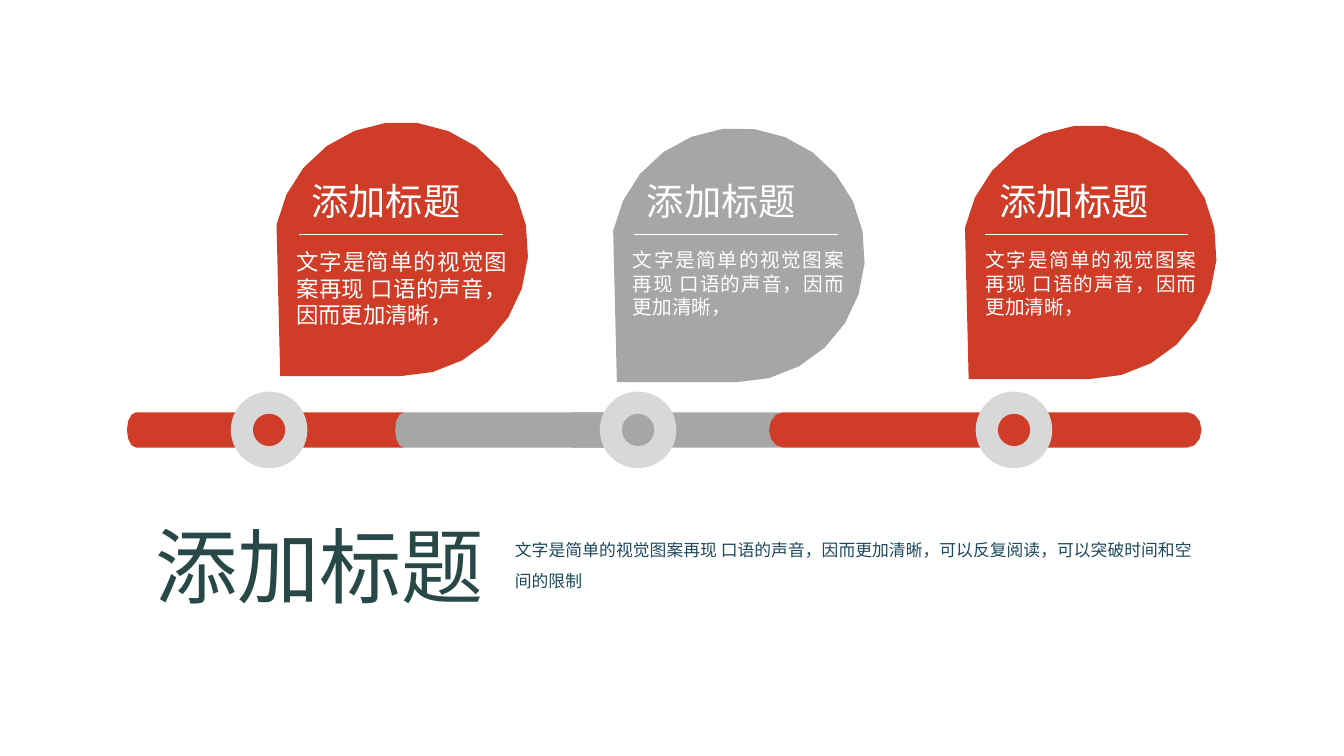
import math
from dataclasses import dataclass

import pptx
import pptx.dml.color
import pptx.enum.shapes
import pptx.enum.text
import pptx.oxml.ns
import pptx.shapes.autoshape
import pptx.slide
import pptx.text.text
import pptx.util
from lxml import etree

Inches = pptx.util.Inches
Align = pptx.enum.text.PP_ALIGN
Point = tuple[float, float]

FONT = "Noto Sans CJK SC"
RED, GRAY, PALE, WHITE = "CF3C27", "A6A6A6", "D8D8D8", "FFFFFF"
HEAD = "添加标题"
BODY = "文字是简单的视觉图案再现 口语的声音，因而更加清晰，"
NOTE = "文字是简单的视觉图案再现 口语的声音，因而更加清晰，可以反复阅读，可以突破时间和空间的限制"
MID = 4.265  # centre line of the bar


@dataclass
class Stop:
    """A drop with its text and its knob on the bar."""
    drop: Point  # centre of the drop's circle
    left: float  # left edge of the body text
    head: float
    rule: float
    knob: float
    size: float
    fill: str


@dataclass
class Pill:
    left: float
    width: float
    curve: float
    fill: str


STOPS = [
    Stop((3.98, 2.47), 2.84, 2.99, 2.97, 2.67, 16, RED),
    Stop((7.32, 2.53), 6.18, 6.32, 6.29, 6.33, 14, GRAY),
    Stop((10.81, 2.5), 9.68, 9.82, 9.77, 10.06, 14, RED),
]
PILLS = [
    Pill(1.26, 1.4, 0.09, RED),
    Pill(2.69, 1.4, 0.09, RED),
    Pill(3.92, 2.26, 0.09, GRAY),
    Pill(5.59, 2.26, 0.09, GRAY),
    Pill(7.63, 4.29, 0.14, RED),
]


def color(code: str) -> pptx.dml.color.RGBColor:
    return pptx.dml.color.RGBColor.from_string(code)


def paint(shape: pptx.shapes.autoshape.Shape, fill: str) -> None:
    shape.shadow.inherit = False
    shape.fill.solid()
    shape.fill.fore_color.rgb = color(fill)
    shape.line.fill.background()


def arc(mid: Point, wide: float, high: float, start: int, end: int,
        steps: int) -> list[Point]:
    """Points on an ellipse, angles in degrees, clockwise from the right."""
    turns = [math.radians(start + (end - start) * i / steps) for i in range(steps + 1)]
    return [(mid[0] + wide * math.cos(t), mid[1] + high * math.sin(t)) for t in turns]


def trace(slide: pptx.slide.Slide, points: list[Point], fill: str) -> None:
    spots = [(Inches(x), Inches(y)) for x, y in points]
    pen = slide.shapes.build_freeform(*spots[0], scale=1.0)
    pen.add_line_segments(spots[1:], close=True)
    paint(pen.convert_to_shape(), fill)


def disc(slide: pptx.slide.Slide, x: float, size: float, fill: str) -> None:
    kind = pptx.enum.shapes.MSO_SHAPE.OVAL
    half = size / 2
    paint(slide.shapes.add_shape(kind, Inches(x - half), Inches(MID - half),
                                 Inches(size), Inches(size)), fill)


def write(frame: pptx.text.text.TextFrame, text: str, size: float, fill: str,
          align: Align = Align.LEFT, wrap: bool = False) -> None:
    frame.text = text
    frame.word_wrap = wrap
    frame.auto_size = pptx.enum.text.MSO_AUTO_SIZE.SHAPE_TO_FIT_TEXT
    frame.vertical_anchor = pptx.enum.text.MSO_ANCHOR.TOP
    line = frame.paragraphs[0]
    line.alignment = align
    font = line.runs[0].font
    font.size = pptx.util.Pt(size)
    font.color.rgb = color(fill)
    font.name = FONT
    props = line.runs[0]._r.get_or_add_rPr()
    etree.SubElement(props, pptx.oxml.ns.qn("a:ea"), typeface=FONT)


def label(slide: pptx.slide.Slide, box: tuple[float, float, float, float], text: str,
          size: float, fill: str, align: Align = Align.LEFT,
          wrap: bool = False) -> pptx.text.text.TextFrame:
    frame = slide.shapes.add_textbox(*map(Inches, box)).text_frame
    write(frame, text, size, fill, align, wrap)
    return frame


def rule(slide: pptx.slide.Slide, x: float) -> None:
    kind = pptx.enum.shapes.MSO_CONNECTOR.STRAIGHT
    line = slide.shapes.add_connector(kind, Inches(x), Inches(2.33),
                                      Inches(x + 2.02), Inches(2.33))
    line.line.color.rgb = color(WHITE)
    line.line.width = pptx.util.Pt(0.75)
    etree.SubElement(line._element.spPr, pptx.oxml.ns.qn("a:effectLst"))


def main() -> None:
    deck = pptx.Presentation()
    deck.slide_width, deck.slide_height = Inches(40 / 3), Inches(7.5)
    slide = deck.slides.add_slide(deck.slide_layouts[5])

    # Bar
    for pill in PILLS:
        east = (pill.left + pill.width - pill.curve, MID)
        west = (pill.left + pill.curve, MID)
        ends = arc(east, pill.curve, 0.175, -90, 90, 6) + arc(west, pill.curve, 0.175, 90, 270, 6)
        trace(slide, ends, pill.fill)

    # Drops, knobs and their text
    for stop in STOPS:
        x, y = stop.drop
        tip = (x - 1.2, y + 1.26)
        trace(slide, arc(stop.drop, 1.26, 1.26, 90, -169, 18) + [tip], stop.fill)
        disc(slide, stop.knob, 0.76, PALE)
        disc(slide, stop.knob, 0.32, stop.fill)
        label(slide, (stop.head, 1.72, 1.7, 0.55), HEAD, 26.65, WHITE)
        high = 0.91 if stop.size == 16 else 0.81
        label(slide, (stop.left, 2.41, 2.29, high), BODY, stop.size, WHITE, Align.JUSTIFY, True)
        rule(slide, stop.rule)

    # Title and note
    title = slide.shapes.title
    title.left, title.top = Inches(1.44), Inches(5.06)
    title.width, title.height = Inches(3.49), Inches(1.09)
    write(title.text_frame, HEAD, 58.7, "284848")
    note = label(slide, (5.01, 5.21, 6.92, 0.71), NOTE, 12, "1D495D", Align.JUSTIFY, True)
    note.paragraphs[0].line_spacing = 1.5

    deck.save("out.pptx")


if __name__ == "__main__":
    main()
